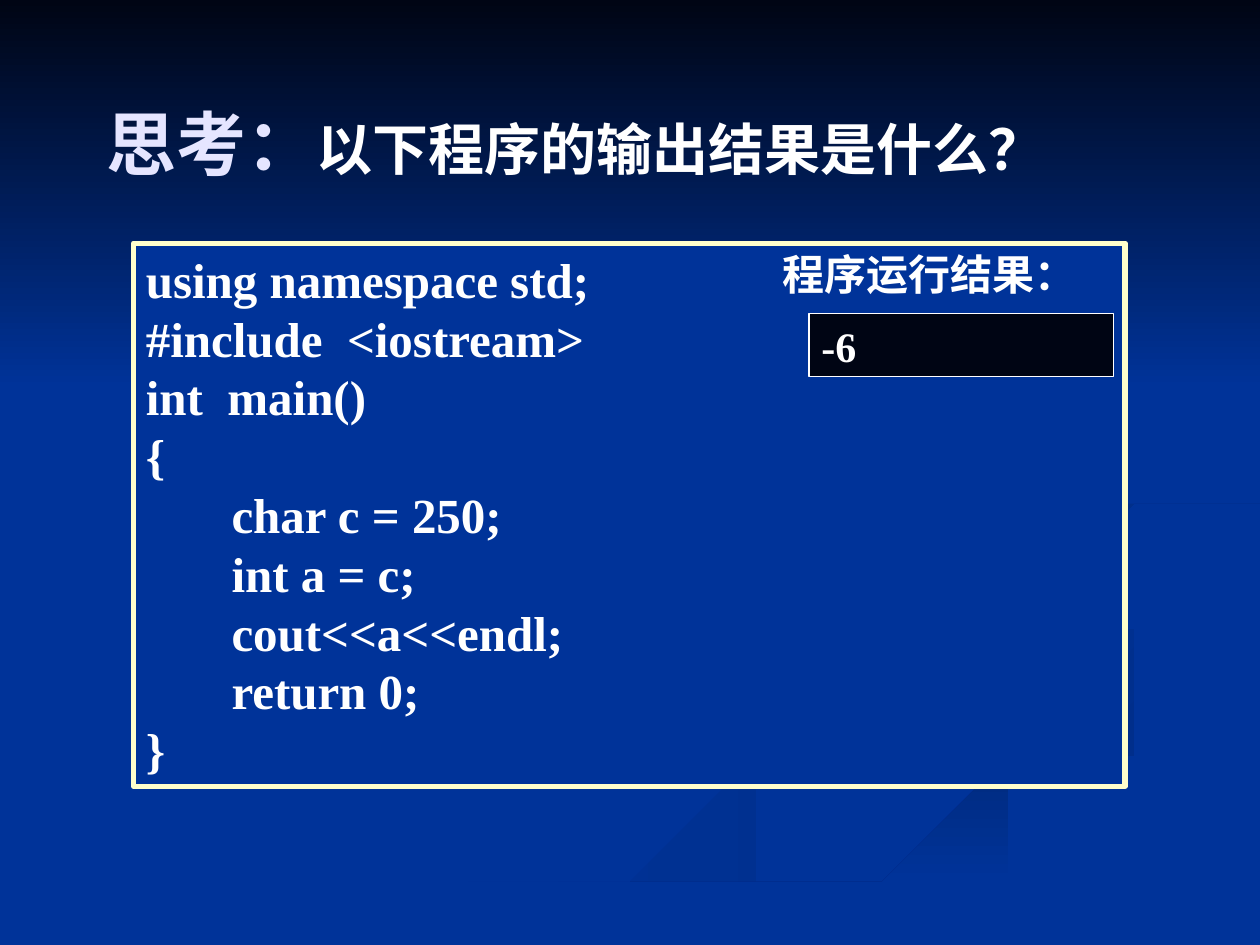
from pptx import Presentation, util as u
from pptx.dml.color import RGBColor
from pptx.enum import shapes, text
from pptx.oxml.ns import qn

WIDE, HIGH = 10, 7.5
HUES = {
    "blue": "003399", "night": "000514", "cream": "FFFFCC",
    "white": "FFFFFF", "lilac": "E5E5FF", "loop": "002E8B",
    "band": "002A7D", "wisp": "002D86",
}
SERIF, HAN, SANS = "Times New Roman", "Noto Sans CJK SC", "Cabin"

CODE = """using namespace std;
#include  <iostream>
int  main()
{
       char c = 250;
       int a = c;
       cout<<a<<endl;
       return 0;
}"""

# Ribbons from back to front: first hue, last hue, angle, edge out, edge back
RIBBONS = [
    ("blue", "loop", 0,
     [(7.86, 5.66), (6.16, 6.29), (4.58, 6.74), (3, 7.49)],
     [(3.61, 7.49), (4.99, 6.87), (6.51, 6.4), (8, 5.81)]),
    ("blue", "loop", 45,
     [(7.24, 4.64), (8.11, 5.15), (9.19, 5.47), (9.43, 5.7), (8.94, 6.05)],
     [(8.94, 6.05), (9.18, 5.81), (8.38, 5.36), (7.24, 4.64)]),
    ("band", "blue", 90,
     [(5.03, 7.49), (6.3, 6.93), (7.64, 6.47), (9.98, 5.81)],
     [(9.98, 6.09), (7.85, 6.61), (6.49, 7.1), (5.71, 7.49)]),
    ("wisp", "blue", 45,
     [(7.81, 4.6), (8.35, 4.3), (8.98, 4.18), (9.98, 4.02)],
     [(9.98, 4.2), (8.96, 4.35), (8.05, 4.72), (8.26, 4.96)]),
]


def hue(name):
    return RGBColor.from_string(HUES[name])


def paint(item, first, last=None, turn=0):
    """Fill with one hue, or with a gradient turned clockwise."""
    if last is None:
        item.fill.solid()
        item.fill.fore_color.rgb = hue(first)
        return
    item.fill.gradient()
    item.fill.gradient_angle = (360 - turn) % 360
    for stop, name in zip(item.fill.gradient_stops, (first, last)):
        stop.color.rgb = hue(name)


def curve(dots, steps=8):
    """Points of a smooth line through the dots (Catmull-Rom)."""
    ends = [dots[0], *dots, dots[-1]]
    line = []
    for a, b, c, d in zip(ends, ends[1:], ends[2:], ends[3:]):
        for k in range(steps):
            t = k / steps
            line.append(tuple(
                q + t / 2 * (r - p + t * (2 * p - 5 * q + 4 * r - s
                                          + t * (3 * (q - r) + s - p)))
                for p, q, r, s in zip(a, b, c, d)))
    return line + [dots[-1]]


def ribbon(slide, first, last, turn, out, back):
    dots = curve(out) + curve(back)
    pen = slide.shapes.build_freeform(*dots[0], scale=u.Inches(1))
    pen.add_line_segments(dots[1:], close=True)
    form = pen.convert_to_shape()
    form.shadow.inherit = False
    form.line.fill.background()
    paint(form, first, last, turn)


def block(slide, x, y, w, h, first, last=None, turn=0, edge=None, thick=1):
    """Rectangle; its place and size are in inches."""
    rect = slide.shapes.add_shape(
        shapes.MSO_SHAPE.RECTANGLE, *map(u.Inches, (x, y, w, h)))
    rect.shadow.inherit = False
    paint(rect, first, last, turn)
    if edge:
        rect.line.color.rgb = hue(edge)
        rect.line.width = u.Pt(thick)
    else:
        rect.line.fill.background()
    return rect


def label(slide, x, y, w, h):
    return slide.shapes.add_textbox(*map(u.Inches, (x, y, w, h)))


def write(item, lines, font=SERIF, align="LEFT", anchor="TOP", lead=None):
    """Each line is a list of (words, size, hue) runs."""
    frame = item.text_frame
    frame.word_wrap = True
    frame.vertical_anchor = text.MSO_ANCHOR[anchor]
    for i, line in enumerate(lines):
        para = frame.add_paragraph() if i else frame.paragraphs[0]
        para.alignment = text.PP_ALIGN[align]
        if lead:
            para.line_spacing = u.Pt(lead)
        for words, size, name in line:
            run = para.add_run()
            run.text = words
            run.font.size, run.font.bold = u.Pt(size), True
            run.font.name = font
            run.font.color.rgb = hue(name)
            if font != SERIF:
                east = run.font._element.makeelement(
                    qn("a:ea"), {"typeface": HAN})
                run.font._element.append(east)


def main():
    deck = Presentation()
    deck.slide_width, deck.slide_height = u.Inches(WIDE), u.Inches(HIGH)
    slide = deck.slides.add_slide(deck.slide_layouts[6])

    # Backdrop
    paint(slide.background, "blue")
    for row in RIBBONS:
        ribbon(slide, *row)
    block(slide, 0, 0, WIDE, 3.08, "night", "blue", 90)

    # Program
    panel = block(slide, 1.06, 1.93, 7.87, 4.31, "blue",
                  edge="cream", thick=3)
    write(panel, [[(line, 28, "white")] for line in CODE.split("\n")],
          lead=33.6)

    # Question
    write(label(slide, 0.75, 0.75, 8.33, 1),
          [[("思考：", 40, "lilac"),
            ("以下程序的输出结果是什么？", 32, "white")]], font=HAN)

    # Result
    answer = block(slide, 6.42, 2.49, 2.42, 0.5, "night",
                   edge="white", thick=0.75)
    write(answer, [[("-6", 24, "white")]], anchor="MIDDLE", lead=28.8)
    write(label(slide, 5.79, 1.92, 3.17, 0.5),
          [[("程序运行结果：", 24, "white")]],
          font=SANS, align="CENTER", anchor="MIDDLE")

    deck.save("out.pptx")


if __name__ == "__main__":
    main()
